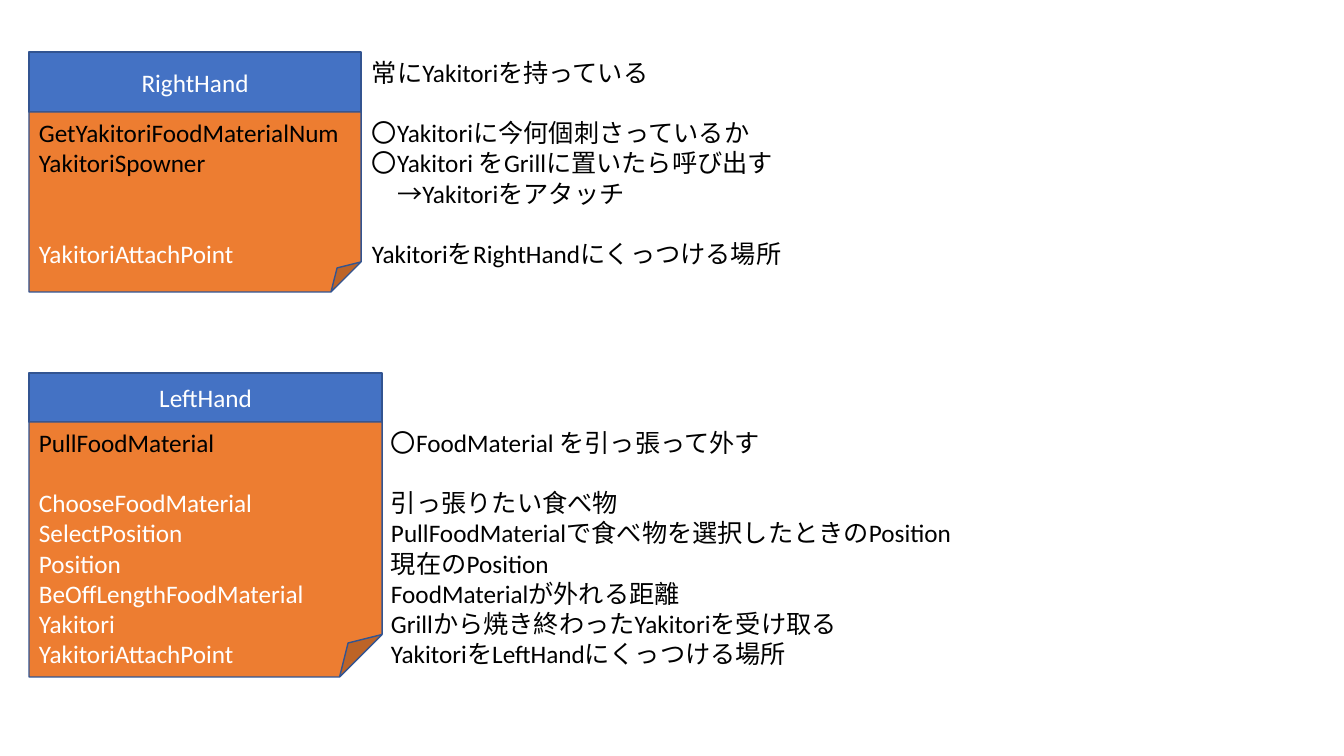
from pptx import Presentation
from pptx.dml.color import RGBColor
from pptx.enum.shapes import MSO_SHAPE as Shape
from pptx.enum.text import MSO_ANCHOR as Anchor, MSO_AUTO_SIZE as AutoSize, PP_ALIGN as Align
from pptx.util import Emu, Inches, Pt

SCALE = Inches(1) / 100.8
LINE_PITCH = 21.6
LEFT = 29
COLORS = {
    "header": "4472C4",
    "body": "ED7D31",
    "outline": "325491",
    "black": "000000",
    "white": "FFFFFF",
}


def px(*lengths):
    """Turn pixel lengths into EMU."""
    return [Emu(round(length * SCALE)) for length in lengths]


def color(name):
    """Return the named colour."""
    return RGBColor.from_string(COLORS[name])


def write(frame, lines, ink="black", size=18, font="Calibri",
          align=Align.LEFT, anchor=Anchor.TOP):
    """Write (text, skipped lines, ink) rows; plain strings skip none."""
    frame.word_wrap = True
    frame.vertical_anchor = anchor
    for index, line in enumerate(lines):
        text, skipped, line_ink = (line, 0, ink) if isinstance(line, str) else line
        para = frame.paragraphs[0] if index == 0 else frame.add_paragraph()
        para.alignment = align
        if skipped:
            para.space_before = Pt(skipped * LINE_PITCH)
        span = para.add_run()
        span.text = text
        span.font.size = Pt(size)
        span.font.name = font
        span.font.color.rgb = color(line_ink)


def add_block(page, kind, bounds, fill, lines, **style):
    """Add a filled, outlined shape with text."""
    block = page.shapes.add_shape(kind, *px(*bounds))
    block.shadow.inherit = False
    block.fill.solid()
    block.fill.fore_color.rgb = color(fill)
    block.line.color.rgb = color("outline")
    block.line.width = Pt(1)
    write(block.text_frame, lines, **style)


def add_class_card(page, name, top, width, header_height, body_height, members):
    """Add a class name header above a folded sheet of its members."""
    add_block(page, Shape.RECTANGLE, (LEFT, top, width, header_height), "header",
              [name], ink="white", align=Align.CENTER, anchor=Anchor.MIDDLE)
    add_block(page, Shape.FOLDED_CORNER,
              (LEFT, top + header_height, width, body_height), "body", members)


def add_notes(page, bounds, lines):
    """Add the explanations beside a class card."""
    box = page.shapes.add_textbox(*px(*bounds))
    write(box.text_frame, lines)
    box.text_frame.auto_size = AutoSize.SHAPE_TO_FIT_TEXT


def main():
    """Build the slide and save it."""
    deck = Presentation()
    deck.slide_width, deck.slide_height = Inches(13.33), Inches(7.5)
    page = deck.slides.add_slide(deck.slide_layouts[6])

    left_fields = ["SelectPosition", "Position", "BeOffLengthFoodMaterial",
                   "Yakitori", "YakitoriAttachPoint"]
    add_class_card(page, "LeftHand", 373, 353, 49, 255, [
        "PullFoodMaterial",
        ("ChooseFoodMaterial", 1, "white"),
        *[(field, 0, "white") for field in left_fields],
    ])
    add_class_card(page, "RightHand", 52, 332, 60, 180, [
        "GetYakitoriFoodMaterialNum",
        "YakitoriSpowner",
        ("YakitoriAttachPoint", 2, "white"),
    ])
    add_notes(page, (362, 52, 447, 224), [
        "常にYakitoriを持っている",
        ("〇Yakitoriに今何個刺さっているか", 1, "black"),
        "〇Yakitori をGrillに置いたら呼び出す",
        "　→Yakitoriをアタッチ",
        ("YakitoriをRightHandにくっつける場所", 1, "black"),
    ])
    add_notes(page, (381, 422, 714, 254), [
        "〇FoodMaterial を引っ張って外す",
        ("引っ張りたい食べ物", 1, "black"),
        "PullFoodMaterialで食べ物を選択したときのPosition",
        "現在のPosition",
        "FoodMaterialが外れる距離",
        "Grillから焼き終わったYakitoriを受け取る",
        "YakitoriをLeftHandにくっつける場所",
    ])
    deck.save("out.pptx")


main()
